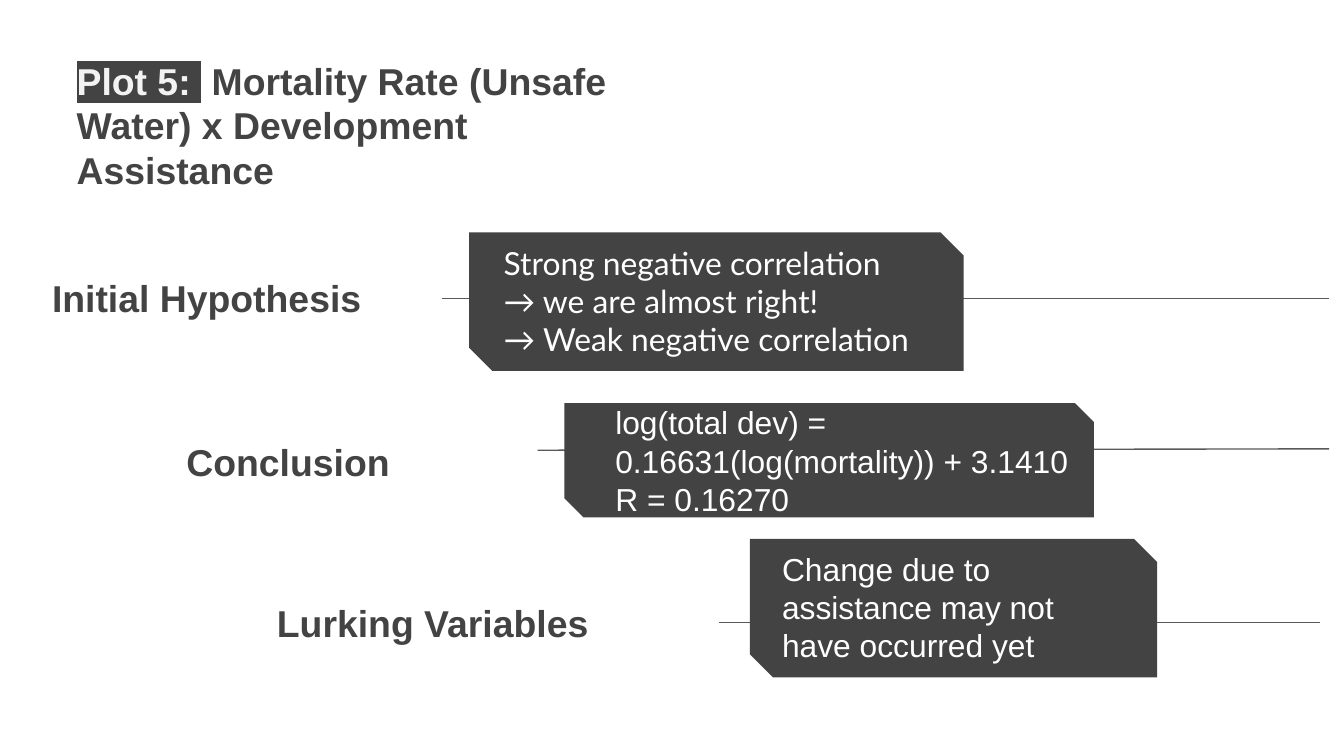
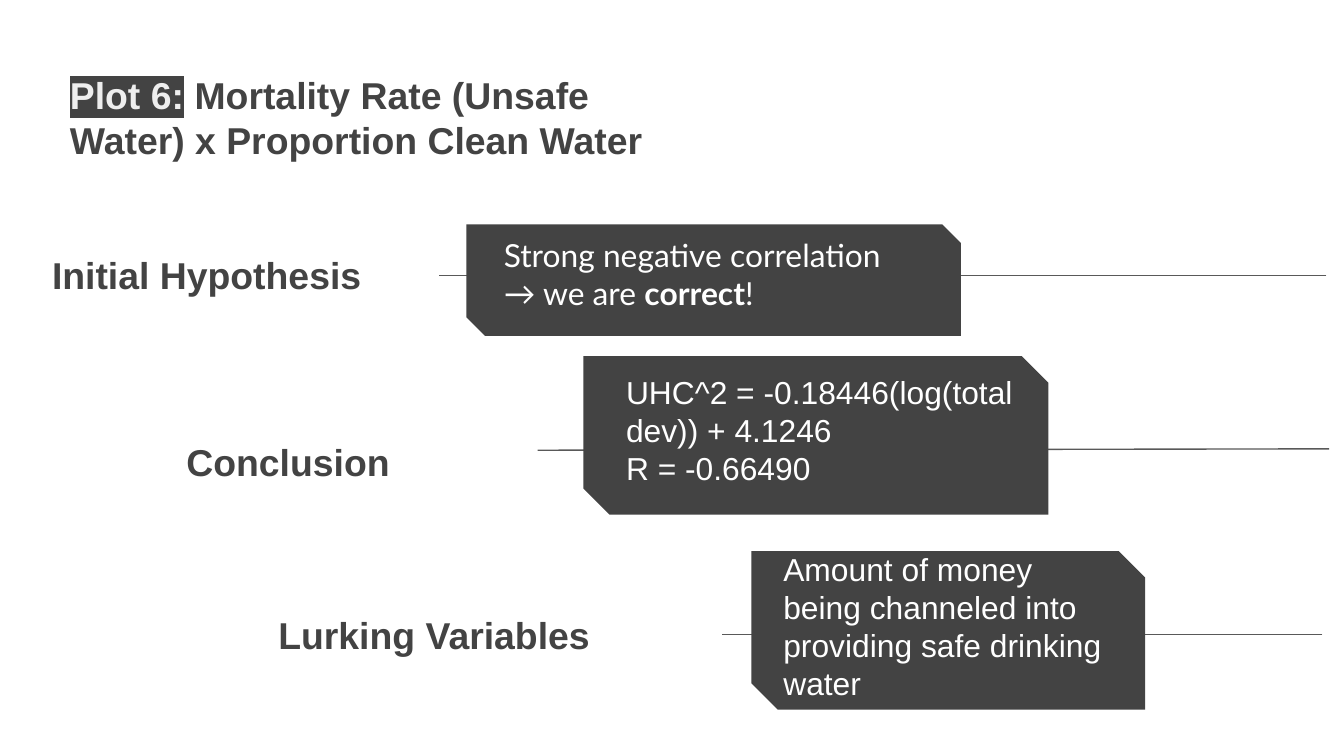
from lxml.etree import SubElement
from pptx import Presentation
from pptx.dml.color import RGBColor
from pptx.enum.shapes import MSO_CONNECTOR, MSO_SHAPE
from pptx.enum.text import MSO_ANCHOR as ANCHOR, MSO_AUTO_SIZE, PP_ALIGN as ALIGN
from pptx.oxml import parse_xml
from pptx.oxml.ns import nsdecls, qn
from pptx.util import Pt

PX = 9144
SLIDE_WIDTH = 1000
DARK = RGBColor(0x43, 0x43, 0x43)
RULE = RGBColor(0x59, 0x59, 0x59)
WHITE = RGBColor(0xFF, 0xFF, 0xFF)
PALE = RGBColor(0xF3, 0xF3, 0xF3)
LIGHT = RGBColor(0xEE, 0xEE, 0xEE)
HEAD_SIZE, BODY_SIZE = 20, 17
LABEL_HEIGHT = 83
INSET = 10


class Deck:
    def __init__(self):
        self.prs = Presentation()
        self.prs.slide_width = SLIDE_WIDTH * PX
        self.prs.slide_height = SLIDE_WIDTH * PX * 9 // 16
        self.s = None

    def new_slide(self):
        self.s = self.prs.slides.add_slide(self.prs.slide_layouts[5])

    def frame(self, sp, anchor):
        tf = sp.text_frame
        tf.word_wrap = True
        tf.auto_size = MSO_AUTO_SIZE.NONE
        tf.vertical_anchor = anchor
        tf.margin_left = tf.margin_right = INSET * PX
        tf.margin_top = tf.margin_bottom = INSET * PX
        return tf

    def font(self, r, size, color, bold=False, name="Arial"):
        r.font.size, r.font.bold, r.font.name = Pt(size), bold, name
        r.font.color.rgb = color

    def title(self, box, tag, text, tag_color):
        sp = self.s.shapes.title
        sp.left, sp.top, sp.width, sp.height = [v * PX for v in box]
        p = self.frame(sp, ANCHOR.TOP).paragraphs[0]
        p.text = tag
        p.add_run().text = text
        p.alignment = ALIGN.LEFT
        for r, color in zip(p.runs, (tag_color, DARK)):
            self.font(r, HEAD_SIZE, color, True)
        mark = parse_xml(f'<a:highlight {nsdecls("a")}><a:srgbClr val="{DARK}"/></a:highlight>')
        p.runs[0].font._element.find(qn("a:solidFill")).addnext(mark)

    def text_box(self, box):
        sp = self.s.shapes.add_textbox(*[v * PX for v in box])
        return self.frame(sp, ANCHOR.MIDDLE)

    def label(self, left, top, width, text):
        p = self.text_box((left, top, width, LABEL_HEIGHT)).paragraphs[0]
        p.text = text
        p.alignment = ALIGN.RIGHT
        self.font(p.runs[0], HEAD_SIZE, DARK, True)

    def rule(self, x1, y1, x2, y2):
        c = self.s.shapes.add_connector(MSO_CONNECTOR.STRAIGHT, *[v * PX for v in (x1, y1, x2, y2)])
        c.line.color.rgb, c.line.width = RULE, Pt(0.75)
        SubElement(c._element.spPr, qn("a:effectLst"))

    def card(self, box):
        sp = self.s.shapes.add_shape(MSO_SHAPE.SNIP_2_DIAG_RECTANGLE, *[v * PX for v in box])
        sp.shadow.inherit = False
        sp.fill.solid()
        sp.fill.fore_color.rgb = DARK
        sp.line.fill.background()

    def body(self, box, lines, name):
        tf = self.text_box(box)
        tf.text = "\n".join(lines)
        for p in tf.paragraphs:
            parts = p.text.split("*")
            p.text = parts[0]
            for part in parts[1:]:
                p.add_run().text = part
            for i, r in enumerate(p.runs):
                self.font(r, BODY_SIZE, WHITE, i % 2 == 1, name)


ROWS = (("Initial Hypothesis", "Lato"), ("Conclusion", "Arial"), ("Lurking Variables", "Arial"))

SLIDES = (
    (((47, 33, 419, 116), "Plot 5: ", " Mortality Rate (Unsafe Water) x Development Assistance", PALE), (
        ((989, 222, 329, 222), (11, 180, 268), (349, 173, 368, 103), (365, 193, 336, 62),
         ("Strong negative correlation", "→ we are almost right!", "→ Weak negative correlation")),
        ((989, 334, 400, 335), (78, 302, 222), (420, 300, 394, 85), (448, 305, 363, 75),
         ("log(total dev) = 0.16631(log(mortality)) + 3.1410", "R = 0.16270")),
        ((982, 463, 535, 463), (112, 422, 336), (558, 401, 303, 103), (572, 410, 268, 83),
         ("Change due to assistance may not have occurred yet",)),
    )),
    (((42, 44, 447, 83), "Plot 6:", " Mortality Rate (Unsafe Water) x Proportion Clean Water", LIGHT), (
        ((987, 205, 327, 205), (11, 163, 268), (347, 167, 368, 83), (365, 173, 319, 62),
         ("Strong negative correlation", "→ we are *correct*!")),
        ((989, 334, 400, 335), (78, 302, 222), (434, 265, 346, 118), (456, 272, 313, 95),
         ("UHC^2 = -0.18446(log(total dev)) + 4.1246", "R = -0.66490")),
        ((984, 472, 537, 472), (113, 431, 336), (559, 410, 293, 118), (573, 418, 261, 95),
         ("Amount of money being channeled into providing safe drinking water",)),
    )),
)


def main():
    deck = Deck()
    for title, rows in SLIDES:
        deck.new_slide()
        deck.title(*title)
        for (label, name), (rule, spot, card, box, lines) in zip(ROWS, rows):
            deck.rule(*rule)
            deck.label(*spot, label)
            deck.card(card)
            deck.body(box, lines, name)
    deck.prs.save("out.pptx")


if __name__ == "__main__":
    main()
